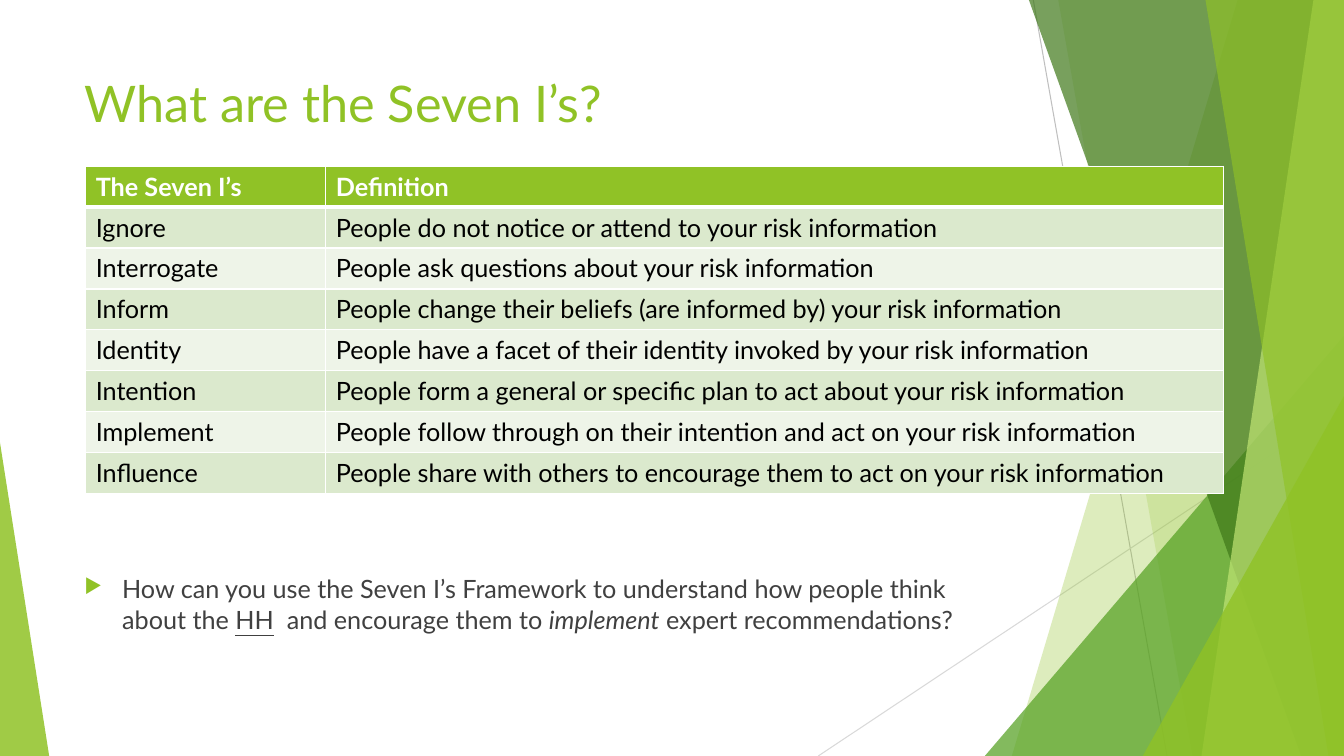
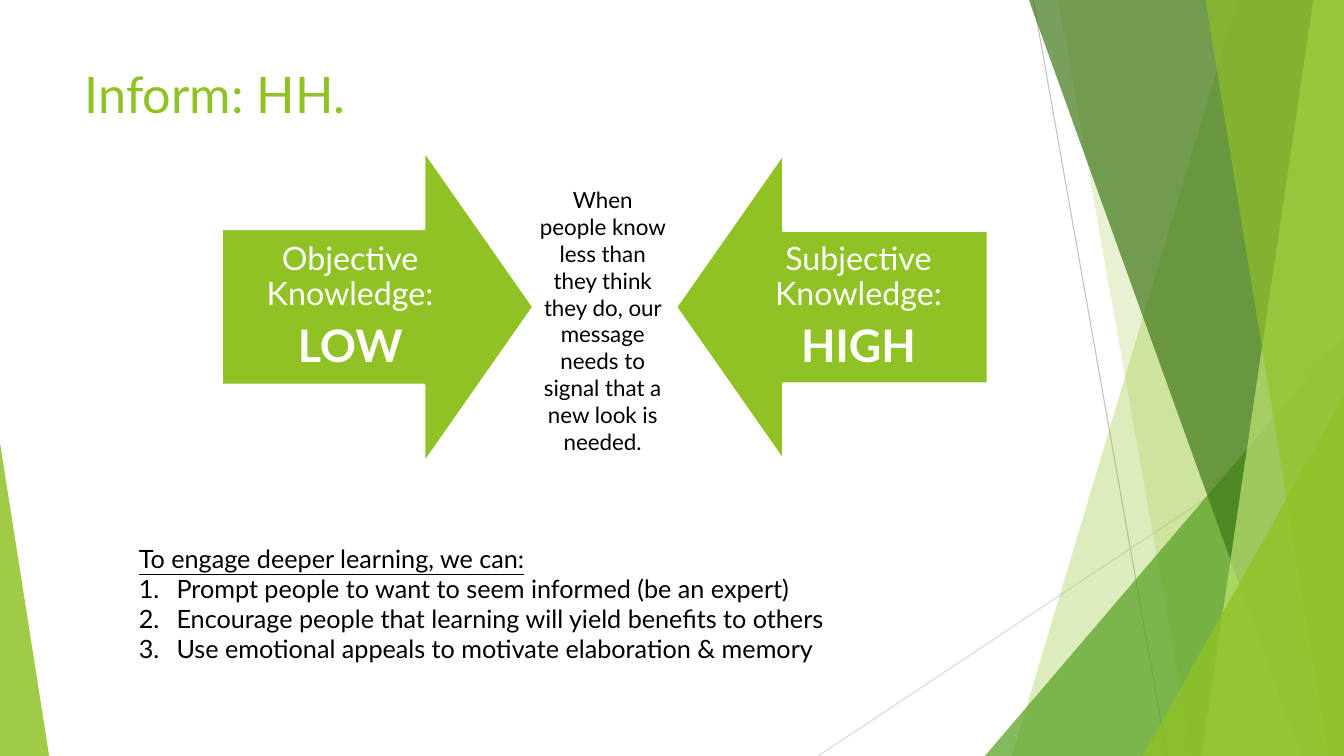
from pptx import Presentation
from pptx.dml.color import RGBColor
from pptx.enum.shapes import MSO_CONNECTOR, MSO_SHAPE
from pptx.enum.text import MSO_ANCHOR, PP_ALIGN
from pptx.oxml.ns import qn
from pptx.util import Cm, Pt
from lxml import etree

# Shared style
W, H = 33.87, 19.05
FONT = "Lato"
GREEN, MID, DARK, LIME = "90C226", "54A021", "3F7819", "C0E474"
WHITE, BLACK, GREY = "FFFFFF", "000000", "404040"
BAND_ODD, BAND_EVEN = "DBE9CD", "EEF4E8"
TITLE_ONLY = 5
TRIANGLE = MSO_SHAPE.ISOSCELES_TRIANGLE
RIGHT_ARROW, LEFT_ARROW = MSO_SHAPE.RIGHT_ARROW, MSO_SHAPE.LEFT_ARROW
STRAIGHT = MSO_CONNECTOR.STRAIGHT
LEFT, CENTER = PP_ALIGN.LEFT, PP_ALIGN.CENTER
TOP, MIDDLE = MSO_ANCHOR.TOP, MSO_ANCHOR.MIDDLE

# Right-hand facets: top x, bottom x, colour, opacity in percent
FACETS_BACK = [(31.19, 25.5, GREEN, 30), (26.67, 30.05, GREEN, 20)]
FACETS_FRONT = [(25.93, 32.79, DARK, 70), (33.1, 30.28, LIME, 70),
                (30.38, 33.48, GREEN, 65)]

SEVEN_IS = [
    ("The Seven I’s", "Definition"),
    ("Ignore", "People do not notice or attend to your risk information"),
    ("Interrogate", "People ask questions about your risk information"),
    ("Inform", "People change their beliefs (are informed by) your risk information"),
    ("Identity", "People have a facet of their identity invoked by your risk information"),
    ("Intention", "People form a general or specific plan to act about your risk information"),
    ("Implement", "People follow through on their intention and act on your risk information"),
    ("Influence", "People share with others to encourage them to act on your risk information"),
]


def rgb(color):
    return RGBColor.from_string(color)


def box_cm(box):
    return [Cm(v) for v in box]


def add_xml(parent, tag, **attrs):
    return etree.SubElement(parent, qn(tag), attrs)


def add_run(p, text, size, color, bold=False, italic=False, underline=False):
    r = p.add_run()
    r.text = text
    f = r.font
    f.name, f.size, f.bold, f.italic, f.underline = FONT, Pt(size), bold, italic, underline
    f.color.rgb = rgb(color)


def hang(p, indent):
    """Set a hanging indent and return the paragraph properties."""
    pPr = p._p.get_or_add_pPr()
    pPr.set("marL", str(Cm(indent)))
    pPr.set("indent", str(-Cm(indent)))
    return pPr


def add_text(s, box):
    tf = s.shapes.add_textbox(*box_cm(box)).text_frame
    tf.word_wrap = True
    return tf


# Background decoration
def paint(sp, color, opacity):
    sp.shadow.inherit = False
    sp.fill.solid()
    sp.fill.fore_color.rgb = rgb(color)
    sp.line.fill.background()
    clr = sp._element.spPr.find(qn("a:solidFill"))[0]
    add_xml(clr, "a:alpha", val=str(opacity * 1000))


def add_ray(s, start, end, color):
    line = s.shapes.add_connector(STRAIGHT, *box_cm(start + end))
    line.line.color.rgb = rgb(color)
    line.line.width = Pt(0.75)
    add_xml(line._element.spPr, "a:effectLst")


def add_facet(s, top_x, bottom_x, color, opacity):
    fb = s.shapes.build_freeform(Cm(top_x), 0)
    corners = [(W, 0), (W, H), (bottom_x, H)]
    fb.add_line_segments([(Cm(x), Cm(y)) for x, y in corners], close=True)
    paint(fb.convert_to_shape(), color, opacity)


def add_triangle(s, box, apex, color, opacity):
    sp = s.shapes.add_shape(TRIANGLE, *box_cm(box))
    sp.adjustments[0] = apex
    paint(sp, color, opacity)


def add_background(s):
    add_ray(s, (26.04, 0), (29.41, H), "BFBFBF")
    add_ray(s, (W, 10.24), (20.62, H), "D9D9D9")
    for facet in FACETS_BACK:
        add_facet(s, *facet)
    add_triangle(s, (24.82, 8.46, 9.05, 10.59), 1, MID, 72)
    for facet in FACETS_FRONT:
        add_facet(s, *facet)
    add_triangle(s, (28.8, 9.98, 5.07, 9.07), 1, GREEN, 80)
    add_triangle(s, (0, 11.15, 1.24, 7.9), 0, GREEN, 85)


def new_slide(prs, title, title_box):
    s = prs.slides.add_slide(prs.slide_layouts[TITLE_ONLY])
    add_background(s)
    sp = s.shapes.title
    sp.left, sp.top, sp.width, sp.height = box_cm(title_box)
    tf = sp.text_frame
    tf.vertical_anchor = TOP
    p = tf.paragraphs[0]
    p.alignment = LEFT
    add_run(p, title, 36, GREEN)
    return s


# Table of definitions
def set_borders(cell, bottom):
    tcPr = cell._tc.get_or_add_tcPr()
    for side, width in (("L", 1), ("R", 1), ("T", 1), ("B", bottom)):
        ln = add_xml(tcPr, "a:ln" + side, w=str(Pt(width)))
        add_xml(add_xml(ln, "a:solidFill"), "a:srgbClr", val=WHITE)


def add_definitions(s, box, first_col):
    x, y, w, h = box
    table = s.shapes.add_table(len(SEVEN_IS), 2, *box_cm(box)).table
    table.columns[0].width = Cm(first_col)
    table.columns[1].width = Cm(w - first_col)
    for i, row in enumerate(SEVEN_IS):
        table.rows[i].height = Cm(h / len(SEVEN_IS))
        head = i == 0
        fill = GREEN if head else BAND_ODD if i % 2 else BAND_EVEN
        for j, text in enumerate(row):
            cell = table.cell(i, j)
            set_borders(cell, 3 if head else 1)
            cell.fill.solid()
            cell.fill.fore_color.rgb = rgb(fill)
            add_run(cell.text_frame.paragraphs[0], text, 18,
                    WHITE if head else BLACK, bold=head)


def add_question(s, box):
    p = add_text(s, box).paragraphs[0]
    pPr = hang(p, 0.95)
    add_xml(add_xml(pPr, "a:buClr"), "a:srgbClr", val=GREEN)
    add_xml(pPr, "a:buSzPct", val="80000")
    add_xml(pPr, "a:buChar", char="▶")
    for text, style in [
        ("How can you use the Seven I’s Framework to understand how people think about the ", {}),
        ("HH", {"underline": True}),
        ("  and encourage them to ", {}),
        ("implement", {"italic": True}),
        (" expert recommendations?", {}),
    ]:
        add_run(p, text, 18, GREY, **style)


# Knowledge arrows and advice
def add_arrow(s, kind, box, label, level):
    sp = s.shapes.add_shape(kind, *box_cm(box))
    sp.shadow.inherit = False
    sp.adjustments[0], sp.adjustments[1] = 0.5, 0.35
    sp.fill.solid()
    sp.fill.fore_color.rgb = rgb(GREEN)
    sp.line.color.rgb = rgb(WHITE)
    sp.line.width = Pt(1.5)
    tf = sp.text_frame
    tf.word_wrap = True
    tf.vertical_anchor = MIDDLE
    tf.margin_left = tf.margin_right = Cm(0.46)
    tf.margin_top = tf.margin_bottom = 0
    p = tf.paragraphs[0]
    p.alignment = CENTER
    p.line_spacing = 0.9
    p.space_after = Pt(4)
    add_run(p, label, 23, WHITE)
    p = tf.add_paragraph()
    p.alignment = CENTER
    add_run(p, level, 32, WHITE, bold=True)


def add_message(s, box):
    p = add_text(s, box).paragraphs[0]
    p.alignment = CENTER
    add_run(p, "When people know less than they think they do, our message "
               "needs to signal that a new look is needed.", 16, BLACK)


def add_advice(s, box):
    tf = add_text(s, box)
    add_run(tf.paragraphs[0], "To engage deeper learning, we can:", 18, BLACK, underline=True)
    for text in ("Prompt people to want to seem informed (be an expert)",
                 "Encourage people that learning will yield benefits to others",
                 "Use emotional appeals to motivate elaboration & memory"):
        p = tf.add_paragraph()
        add_xml(hang(p, 0.95), "a:buAutoNum", type="arabicPeriod")
        add_run(p, text, 18, BLACK)


# Slides
def seven_is_slide(prs):
    s = new_slide(prs, "What are the Seven I’s?", (1.88, 1.7, 23.88, 2.4))
    add_question(s, (1.88, 14.33, 23.4, 2.46))
    add_definitions(s, (2.16, 4.19, 28.68, 8.24), 6.05)


def inform_slide(prs):
    s = new_slide(prs, "Inform: HH.", (1.88, 1.47, 24.26, 1.8))
    add_arrow(s, RIGHT_ARROW, (5.59, 3.81, 7.85, 7.85), "Objective Knowledge:", "LOW")
    add_arrow(s, LEFT_ARROW, (17.04, 3.89, 7.85, 7.7), "Subjective Knowledge:", "HIGH")
    add_message(s, (13.31, 4.57, 3.76, 7.09))
    add_advice(s, (3.25, 13.56, 18.62, 4.88))


def main():
    prs = Presentation()
    prs.slide_width, prs.slide_height = Cm(W), Cm(H)
    seven_is_slide(prs)
    inform_slide(prs)
    prs.save("out.pptx")


if __name__ == "__main__":
    main()
